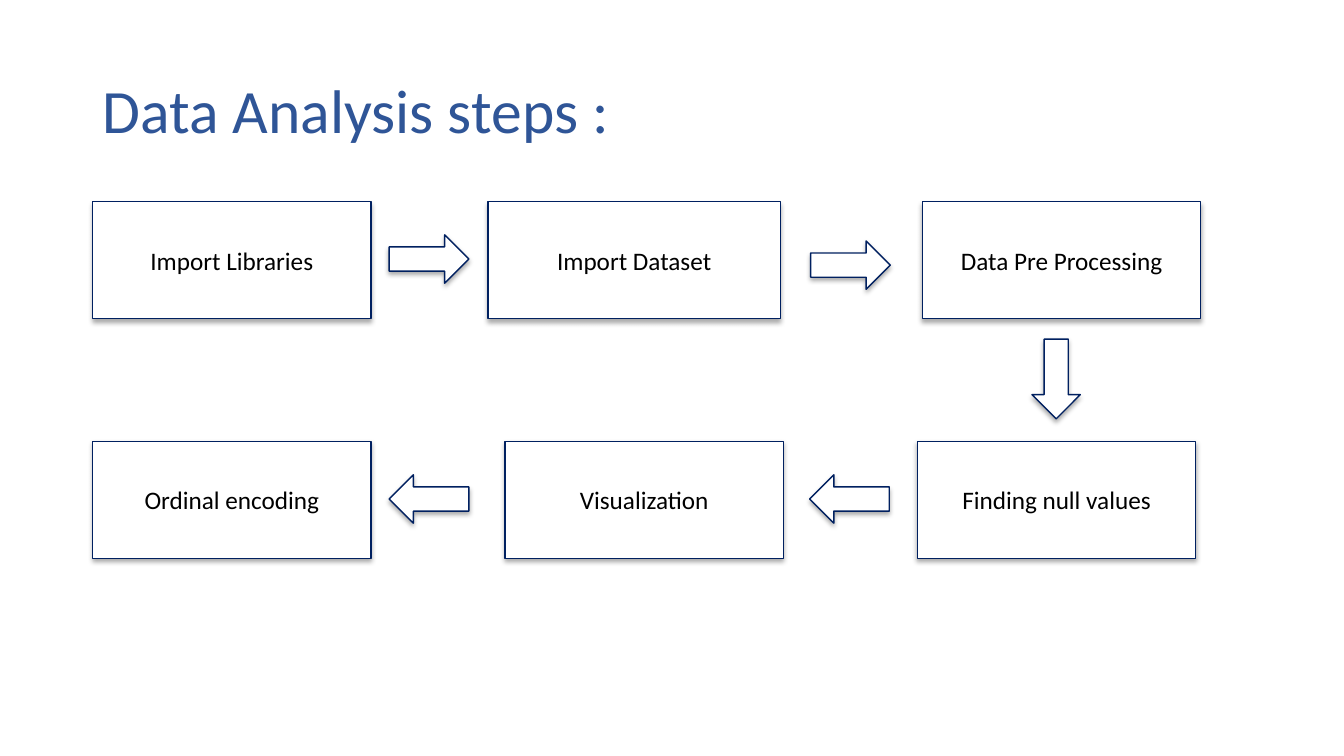
from dataclasses import dataclass

from lxml import etree
from pptx import Presentation
from pptx import util as u
from pptx.dml.color import RGBColor
from pptx.enum import shapes, text
from pptx.oxml import ns


@dataclass(frozen=True)
class Theme:
    font: str = "Calibri"
    title_color: str = "2F5597"
    text_color: str = "000000"
    fill_color: str = "FFFFFF"
    line_color: str = "002060"
    shadow_color: str = "000000"
    title_size: int = 44
    step_size: int = 18
    line_width: int = 1


def write_text(shape, content, *, font, size, color, align, spacing=1.0):
    frame = shape.text_frame
    frame.word_wrap = True
    frame.vertical_anchor = text.MSO_ANCHOR.MIDDLE
    paragraph = frame.paragraphs[0]
    paragraph.alignment = align
    paragraph.line_spacing = spacing
    run = paragraph.add_run()
    run.text = content
    run.font.name = font
    run.font.size = u.Pt(size)
    run.font.color.rgb = RGBColor.from_string(color)


class SlideBuilder:
    def __init__(self, slide, theme):
        self.slide = slide
        self.theme = theme

    def title(self, content, left, top, width, height):
        box = self.slide.shapes.add_textbox(*map(u.Inches, (left, top, width, height)))
        write_text(box, content, font=self.theme.font, size=self.theme.title_size,
                   color=self.theme.title_color, align=text.PP_ALIGN.LEFT, spacing=0.9)

    def outlined_shape(self, kind, left, top, width, height):
        shape = self.slide.shapes.add_shape(kind, *map(u.Inches, (left, top, width, height)))
        shape.fill.solid()
        shape.fill.fore_color.rgb = RGBColor.from_string(self.theme.fill_color)
        shape.line.color.rgb = RGBColor.from_string(self.theme.line_color)
        shape.line.width = u.Pt(self.theme.line_width)
        self.soft_shadow(shape)
        return shape

    def soft_shadow(self, shape):
        shape.shadow.inherit = False
        effects = shape.element.spPr.find(ns.qn("a:effectLst"))
        shadow = etree.SubElement(effects, ns.qn("a:outerShdw"), blurRad=str(u.Pt(3.5)),
                                  dist=str(u.Pt(2.2)), dir="5400000", rotWithShape="0")
        color = etree.SubElement(shadow, ns.qn("a:srgbClr"), val=self.theme.shadow_color)
        etree.SubElement(color, ns.qn("a:alpha"), val="32000")

    def step(self, content, left, top, width=2.76, height=1.16):
        box = self.outlined_shape(shapes.MSO_SHAPE.RECTANGLE, left, top, width, height)
        write_text(box, content, font=self.theme.font, size=self.theme.step_size,
                   color=self.theme.text_color, align=text.PP_ALIGN.CENTER)

    def arrow(self, left, top, rotation=0):
        arrow = self.outlined_shape(shapes.MSO_SHAPE.RIGHT_ARROW, left, top, 0.79, 0.48)
        arrow.rotation = rotation


def main():
    presentation = Presentation()
    presentation.slide_width = u.Inches(13.33)
    presentation.slide_height = u.Inches(7.5)
    slide = presentation.slides.add_slide(presentation.slide_layouts[6])
    builder = SlideBuilder(slide, Theme())

    builder.title("Data Analysis steps :", 0.92, 0.4, 11.5, 1.45)

    upper_row, lower_row = 2, 4.38
    builder.step("Import Libraries", 0.92, upper_row)
    builder.step("Import Dataset", 4.84, upper_row, width=2.9)
    builder.step("Data Pre Processing", 9.15, upper_row)
    builder.step("Finding null values", 9.1, lower_row)
    builder.step("Visualization", 5.01, lower_row)
    builder.step("Ordinal encoding", 0.92, lower_row)

    builder.arrow(3.86, 2.33)
    builder.arrow(8.04, 2.39)
    builder.arrow(10.08, 3.52, rotation=90)
    for left in (8.03, 3.86):
        builder.arrow(left, 4.71, rotation=180)

    presentation.save("out.pptx")


if __name__ == "__main__":
    main()
